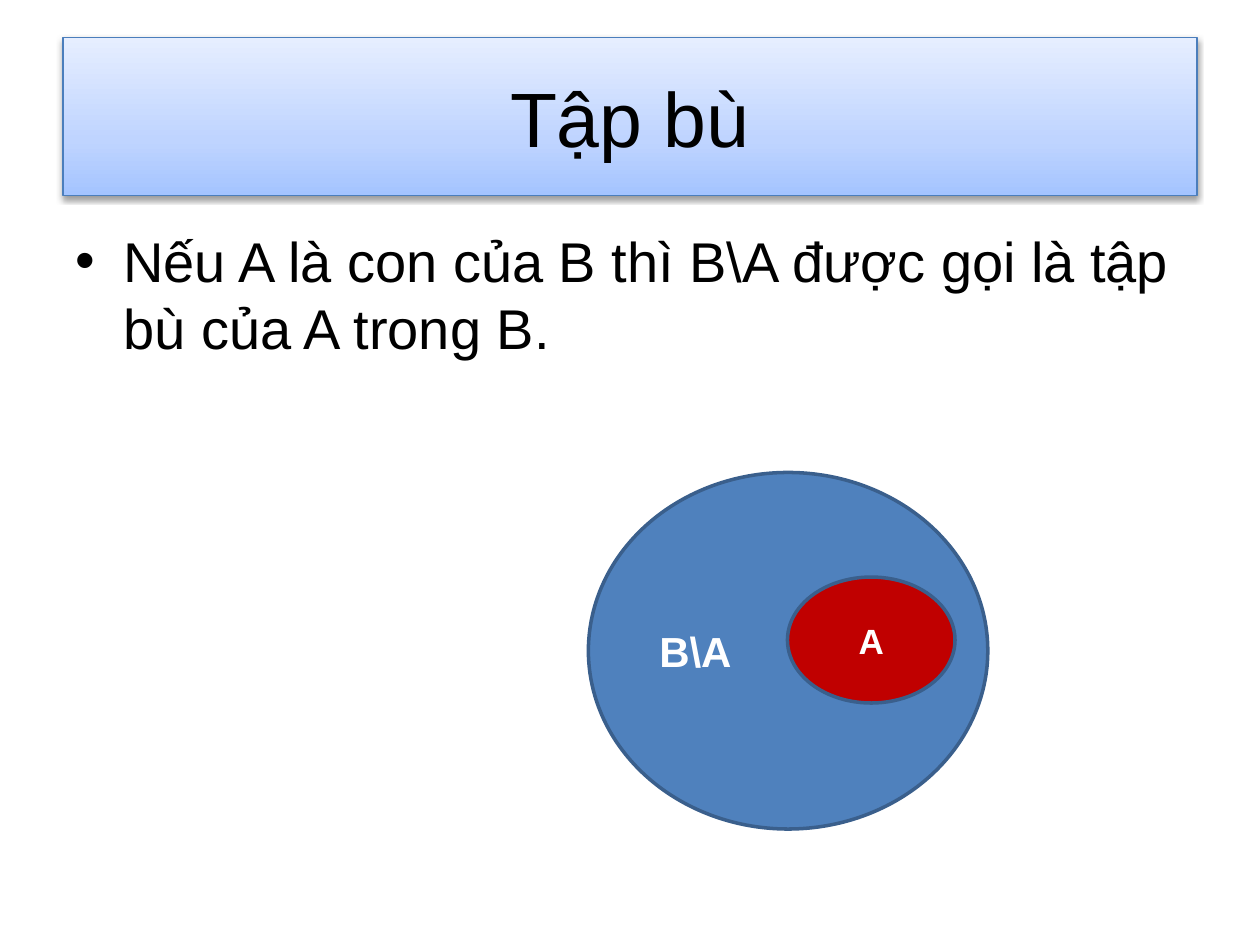
from lxml import etree
from pptx import Presentation
from pptx.dml.color import RGBColor
from pptx.enum.shapes import MSO_SHAPE
from pptx.enum.text import MSO_ANCHOR, PP_ALIGN
from pptx.oxml import parse_xml
from pptx.oxml.ns import qn
from pptx.util import Inches, Pt

OVAL = MSO_SHAPE.OVAL
MIDDLE = MSO_ANCHOR.MIDDLE
LEFT, CENTER = PP_ALIGN.LEFT, PP_ALIGN.CENTER
DRAWING_NS = "http://schemas.openxmlformats.org/drawingml/2006/main"
FONT = "Arial"
BLACK, WHITE = "000000", "FFFFFF"
TITLE_STOPS = [(0, "A4C4FF"), (35, "BFD4FF"), (100, "E6EEFF")]


def color(hex_value):
    return RGBColor.from_string(hex_value)


def set_line(shape, hex_value, width):
    shape.line.color.rgb = color(hex_value)
    shape.line.width = Pt(width)


def add_run(paragraph, text, size, hex_value, bold=False):
    run = paragraph.add_run()
    run.text = text
    run.font.name = FONT
    run.font.size = Pt(size)
    run.font.bold = bold
    run.font.color.rgb = color(hex_value)


def set_gradient(shape, stops, angle):
    shape.fill.gradient()
    shape.fill.gradient_angle = angle
    stop_list = next(shape.element.spPr.iter(qn("a:gsLst")))
    for stop in list(stop_list):
        stop_list.remove(stop)
    for position, hex_value in stops:
        stop = etree.SubElement(stop_list, qn("a:gs"), pos=str(position * 1000))
        etree.SubElement(stop, qn("a:srgbClr"), val=hex_value)


def add_shadow(shape):
    shape.element.spPr.append(parse_xml(
        f'<a:effectLst xmlns:a="{DRAWING_NS}">'
        f'<a:outerShdw blurRad="{Pt(3.1)}" dist="{Pt(1.6)}" dir="5400000" rotWithShape="0">'
        f'<a:srgbClr val="{BLACK}"><a:alpha val="38000"/></a:srgbClr>'
        '</a:outerShdw></a:effectLst>'))


def format_title(title, left, top, width, height):
    title.left, title.top = Inches(left), Inches(top)
    title.width, title.height = Inches(width), Inches(height)
    set_gradient(title, TITLE_STOPS, 90)
    set_line(title, "4B7EBC", 0.75)
    add_shadow(title)
    title.text_frame.vertical_anchor = MIDDLE
    heading = title.text_frame.paragraphs[0]
    heading.alignment = CENTER
    add_run(heading, "Tập bù", 44, BLACK)


def add_definition(slide, left, top, width, height):
    definition = slide.shapes.add_textbox(
        Inches(left), Inches(top), Inches(width), Inches(height))
    definition.text_frame.word_wrap = True
    sentence = definition.text_frame.paragraphs[0]
    sentence.space_before = Pt(6.4)
    properties = sentence._p.get_or_add_pPr()
    properties.set("marL", str(Inches(0.38)))
    properties.set("indent", str(-Inches(0.38)))
    etree.SubElement(properties, qn("a:buFont"), typeface=FONT)
    etree.SubElement(properties, qn("a:buChar"), char="•")
    add_run(sentence, "Nếu A là con của B thì B\\A được gọi là tập bù của A trong B.", 32, BLACK)


def add_set(slide, left, top, width, height, fill, label, size, alignment):
    ellipse = slide.shapes.add_shape(
        OVAL, Inches(left), Inches(top), Inches(width), Inches(height))
    ellipse.shadow.inherit = False
    ellipse.fill.solid()
    ellipse.fill.fore_color.rgb = color(fill)
    set_line(ellipse, "3A5F8C", 2)
    ellipse.text_frame.vertical_anchor = MIDDLE
    name = ellipse.text_frame.paragraphs[0]
    name.alignment = alignment
    add_run(name, label, size, WHITE, bold=True)


def add_venn_diagram(slide, left, top, width, height):
    add_set(slide, left, top, width, height, "4F81BD", "B\\A", 24, LEFT)
    add_set(slide, left + 1.58, top + 0.83, 1.33, 1, "C00000", "A", 20, CENTER)


presentation = Presentation()
presentation.slide_width = Inches(10)
presentation.slide_height = Inches(7.5)
complement_slide = presentation.slides.add_slide(presentation.slide_layouts[5])
format_title(complement_slide.shapes.title, 0.5, 0.3, 9, 1.25)
add_definition(complement_slide, 0.5, 1.75, 9, 4.95)
add_venn_diagram(complement_slide, 4.67, 3.75, 3.17, 2.83)
presentation.save("out.pptx")
